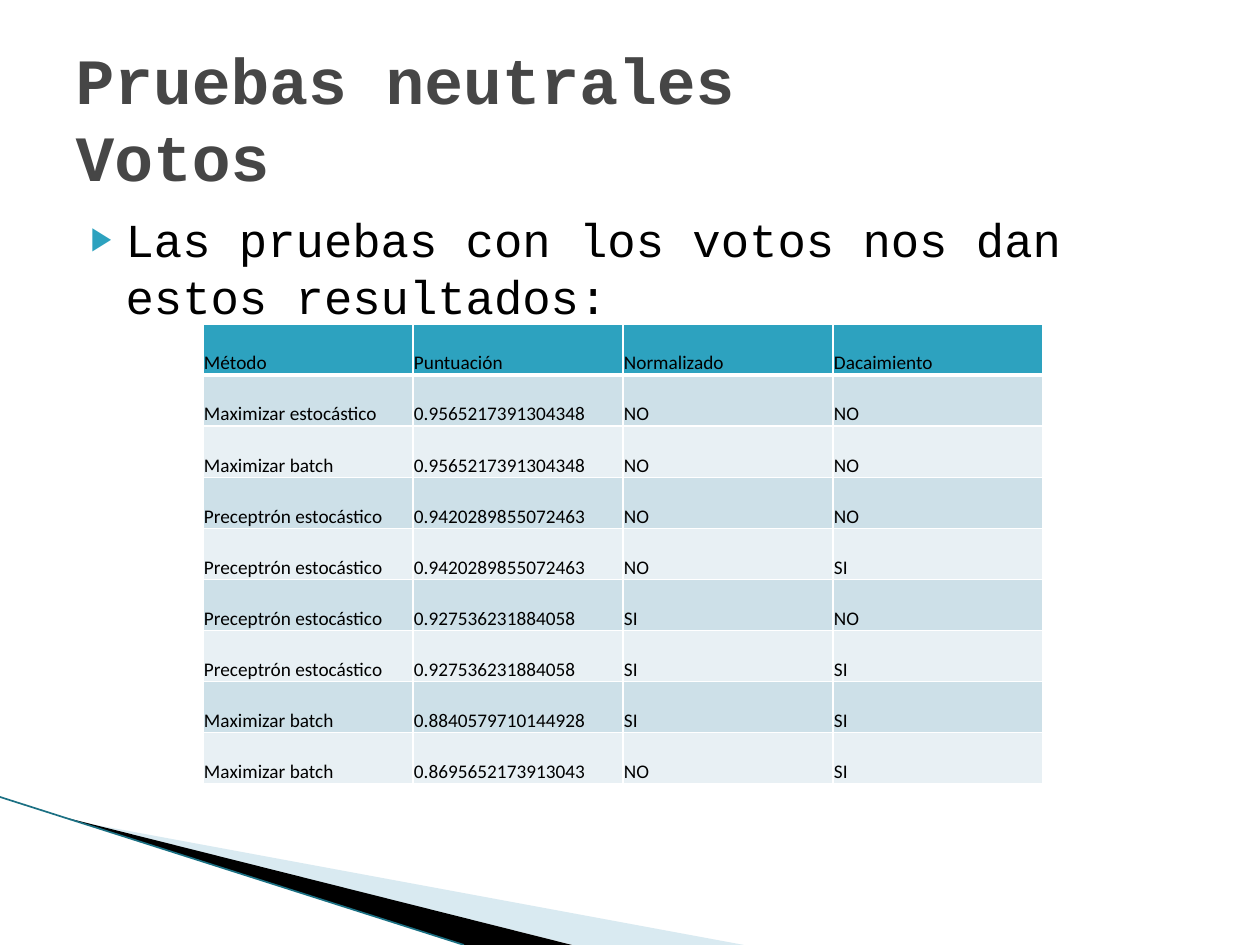
import copy
from dataclasses import dataclass

import pptx
import pptx.dml.color
import pptx.enum.text
import pptx.oxml
import pptx.oxml.ns
import pptx.util

EMU_PER_PX = 914400 // 126
ANCHOR = pptx.enum.text.MSO_ANCHOR


@dataclass(frozen=True)
class Theme:
    """Colours, fonts and type sizes of the slide."""
    accent: str = "2DA2BF"
    title: str = "464646"
    text: str = "000000"
    white: str = "FFFFFF"
    bands: tuple = ("CDE0E8", "E8F0F4")
    pale_wedge: str = "A0CBDC"
    dark_wedge: str = "000000"
    edge: str = "1B7083"
    heading_font: str = "Courier New"
    table_font: str = "Calibri"
    title_size: float = 36.9
    body_size: float = 27
    table_size: float = 11


def px(length):
    """Turn px into EMU."""
    return pptx.util.Emu(round(length * EMU_PER_PX))


def rgb(value):
    """Turn a hex string into a colour."""
    return pptx.dml.color.RGBColor.from_string(value)


def add_xml(parent, tag, **attributes):
    """Append a DrawingML element with its attributes and return it."""
    element = pptx.oxml.parse_xml(f"<a:{tag} {pptx.oxml.ns.nsdecls('a')}/>")
    for name, value in attributes.items():
        element.set(name, str(value))
    parent.append(element)
    return element


def write_text(frame, text, *, font, size, color, bold=False, anchor=ANCHOR.TOP):
    """Write formatted text, with a line break for each newline."""
    frame.word_wrap = True
    frame.auto_size = pptx.enum.text.MSO_AUTO_SIZE.NONE
    frame.vertical_anchor = anchor
    paragraph = frame.paragraphs[0]
    paragraph.alignment = pptx.enum.text.PP_ALIGN.LEFT
    paragraph.text = text.replace("\n", "\v")
    for run in paragraph.runs:
        run.font.name = font
        run.font.size = pptx.util.Pt(size)
        run.font.bold = bold
        run.font.color.rgb = rgb(color)
    for line_break in paragraph._p.findall(pptx.oxml.ns.qn("a:br")):
        line_break.append(copy.deepcopy(paragraph.runs[0]._r.rPr))
    return paragraph


class SlideBuilder:
    """Holds the theme and the current slide."""

    def __init__(self, slide, theme):
        """Keep the slide and its theme."""
        self.slide = slide
        self.theme = theme

    def wedge(self, points, color, opacity=100):
        """Draw a filled outline."""
        builder = self.slide.shapes.build_freeform(*points[0], scale=EMU_PER_PX)
        builder.add_line_segments(points[1:], close=True)
        shape = builder.convert_to_shape()
        shape.shadow.inherit = False
        shape.fill.solid()
        shape.fill.fore_color.rgb = rgb(color)
        shape.line.fill.background()
        if opacity < 100:
            fill = shape._element.spPr.find(pptx.oxml.ns.qn("a:solidFill"))
            add_xml(fill[0], "alpha", val=opacity * 1000)

    def line(self, start, end, color, width):
        """Draw a straight line."""
        connector = self.slide.shapes.add_connector(1, *map(px, start + end))
        connector.line.color.rgb = rgb(color)
        connector.line.width = pptx.util.Pt(width)
        add_xml(connector._element.spPr, "effectLst")

    def placeholder(self, index, box):
        """Move a placeholder to its box, in front of what is drawn so far."""
        shape = self.slide.placeholders[index]
        shape.left, shape.top, shape.width, shape.height = map(px, box)
        shape._element.getparent().append(shape._element)
        return shape

    def title(self, text, box):
        """Fill the title placeholder."""
        theme = self.theme
        write_text(self.placeholder(0, box).text_frame, text, font=theme.heading_font,
                   size=theme.title_size, color=theme.title, bold=True, anchor=ANCHOR.MIDDLE)

    def bullet(self, text, box):
        """Fill the body placeholder with one bulleted paragraph."""
        theme = self.theme
        paragraph = write_text(self.placeholder(1, box).text_frame, text, color=theme.text,
                               font=theme.heading_font, size=theme.body_size)
        paragraph.space_before = pptx.util.Pt(4)
        properties = paragraph._p.get_or_add_pPr()
        properties.set("marL", str(px(50)))
        properties.set("indent", str(px(-35)))
        add_xml(add_xml(properties, "buClr"), "srgbClr", val=theme.accent)
        add_xml(properties, "buSzPct", val=68000)
        add_xml(properties, "buChar", char="▶")

    def table(self, rows, box):
        """Add a banded table with a header row and equal cells."""
        theme = self.theme
        frame = self.slide.shapes.add_table(len(rows), len(rows[0]), *map(px, box))
        for row_index, values in enumerate(rows):
            fill = theme.bands[(row_index - 1) % 2] if row_index else theme.accent
            for column_index, value in enumerate(values):
                cell = frame.table.cell(row_index, column_index)
                cell.margin_left = cell.margin_right = cell.margin_top = px(1)
                cell.margin_bottom = 0
                write_text(cell.text_frame, value, font=theme.table_font,
                           size=theme.table_size, color=theme.text)
                cell.vertical_anchor = ANCHOR.BOTTOM
                self.borders(cell, top=3 if row_index == 1 else 1,
                             bottom=1 if row_index else 3)
                cell.fill.solid()
                cell.fill.fore_color.rgb = rgb(fill)

    def borders(self, cell, top, bottom):
        """Give a cell white borders, with widths in points."""
        properties = cell._tc.get_or_add_tcPr()
        for side, width in (("L", 1), ("R", 1), ("T", top), ("B", bottom)):
            border = add_xml(properties, f"ln{side}", w=pptx.util.Pt(width))
            add_xml(add_xml(border, "solidFill"), "srgbClr", val=self.theme.white)


def main():
    """Build and save the slide."""
    presentation = pptx.Presentation()
    presentation.slide_width, presentation.slide_height = px(1260), px(945)
    theme = Theme()
    slide = presentation.slides.add_slide(presentation.slide_layouts[1])
    builder = SlideBuilder(slide, theme)

    builder.wedge([(69, 820), (744, 945), (573, 945)], theme.pale_wedge, opacity=40)
    builder.wedge([(67, 818), (572, 945), (464, 945)], theme.dark_wedge)
    builder.line((0, 797), (464, 945), theme.edge, 0.95)
    builder.bullet("Las pruebas con los votos nos dan estos resultados:", (63, 204, 1134, 624))
    builder.title("Pruebas neutrales\nVotos", (63, 38, 1134, 158))
    builder.table([
        ("Método", "Puntuación", "Normalizado", "Dacaimiento"),
        ("Maximizar estocástico", "0.9565217391304348", "NO", "NO"),
        ("Maximizar batch", "0.9565217391304348", "NO", "NO"),
        ("Preceptrón estocástico", "0.9420289855072463", "NO", "NO"),
        ("Preceptrón estocástico", "0.9420289855072463", "NO", "SI"),
        ("Preceptrón estocástico", "0.927536231884058", "SI", "NO"),
        ("Preceptrón estocástico", "0.927536231884058", "SI", "SI"),
        ("Maximizar batch", "0.8840579710144928", "SI", "SI"),
        ("Maximizar batch", "0.8695652173913043", "NO", "SI"),
    ], (203, 324, 840, 460))
    presentation.save("out.pptx")


if __name__ == "__main__":
    main()
